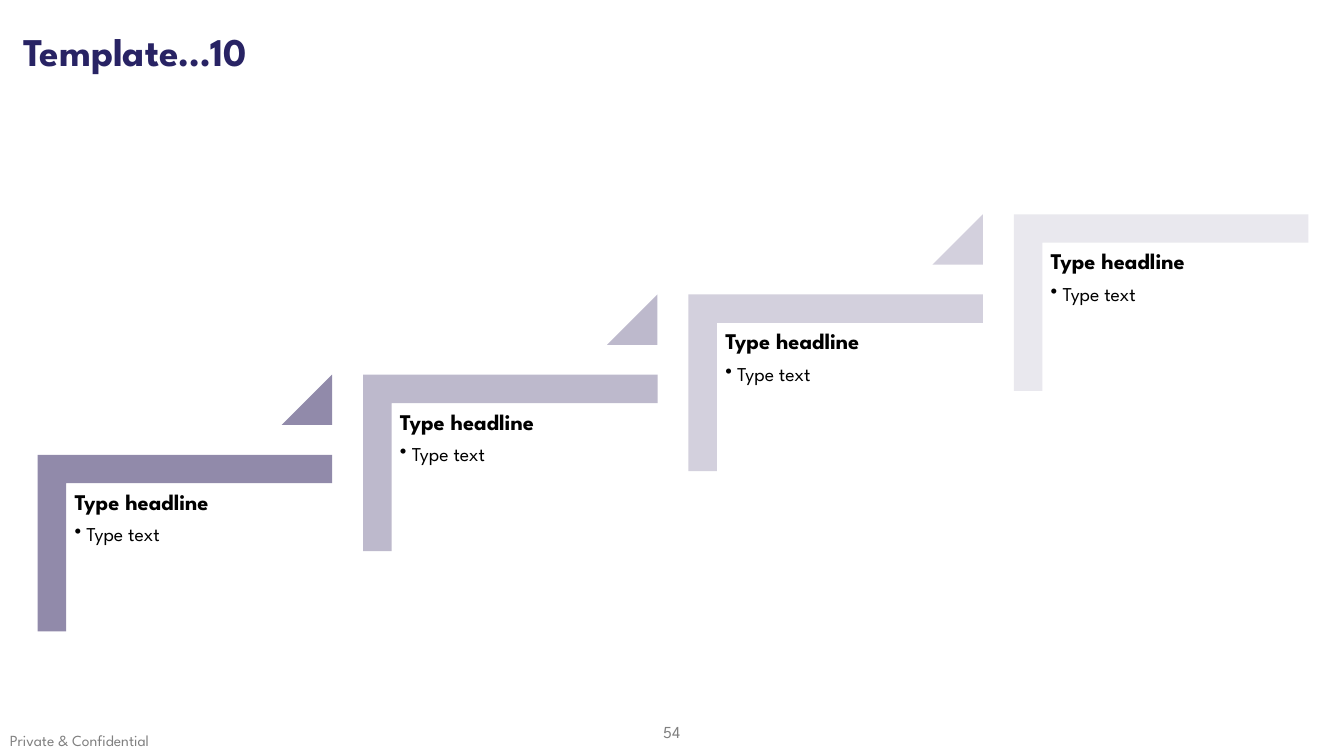
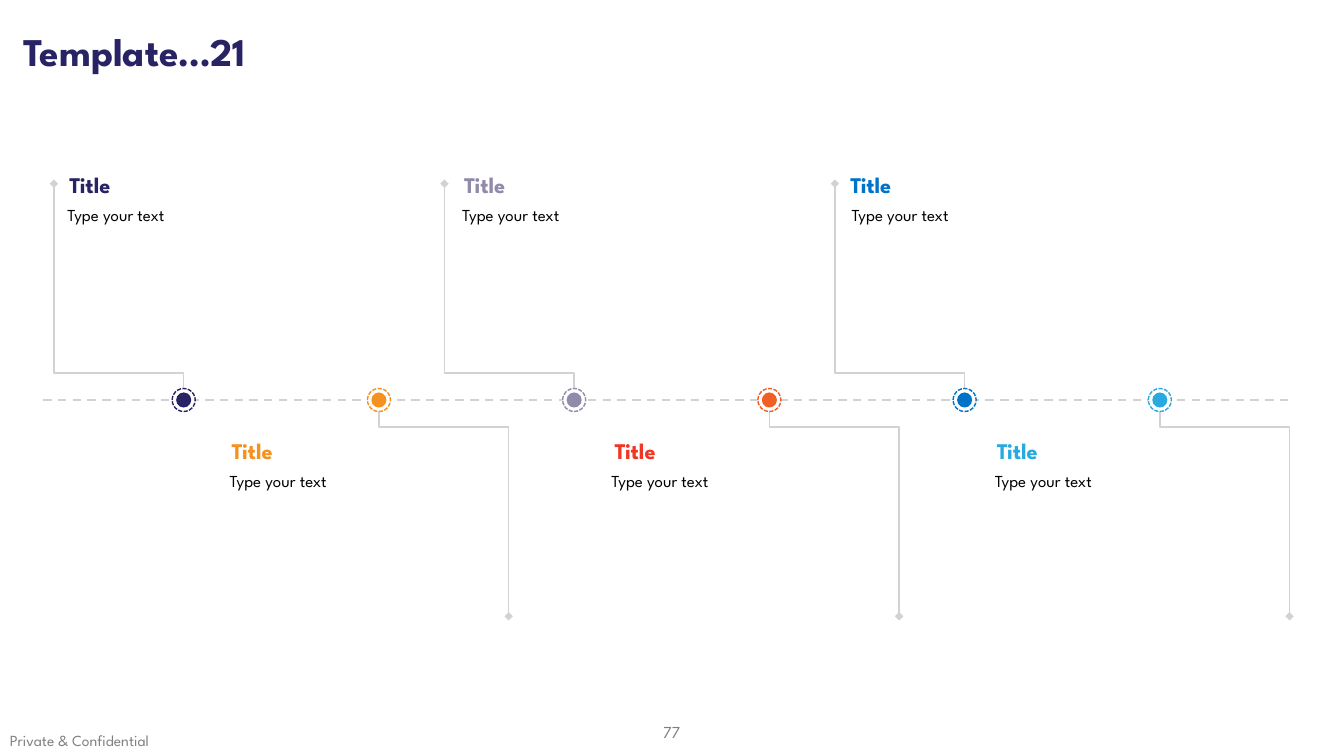
from collections import namedtuple

from lxml import etree
from pptx import Presentation
from pptx.dml.color import RGBColor
from pptx.enum.dml import MSO_LINE
from pptx.enum.shapes import MSO_CONNECTOR, MSO_SHAPE
from pptx.enum.text import MSO_ANCHOR, MSO_AUTO_SIZE, PP_ALIGN
from pptx.oxml.ns import qn
from pptx.util import Cm, Pt

DASH, SHORT_DASH = MSO_LINE.DASH, MSO_LINE.SQUARE_DOT
STRAIGHT, ELBOW = MSO_CONNECTOR.STRAIGHT, MSO_CONNECTOR.ELBOW
CORNER, TRIANGLE, OVAL = MSO_SHAPE.CORNER, MSO_SHAPE.ISOSCELES_TRIANGLE, MSO_SHAPE.OVAL
MIDDLE, NO_AUTOFIT = MSO_ANCHOR.MIDDLE, MSO_AUTO_SIZE.NONE
LEFT, CENTER = PP_ALIGN.LEFT, PP_ALIGN.CENTER

FONT = "League Spartan"
WHITE = RGBColor(0xFF, 0xFF, 0xFF)
BLACK = RGBColor(0x00, 0x00, 0x00)
FOOTER_GRAY = RGBColor(0x80, 0x80, 0x80)
LINE_GRAY = RGBColor(0xD2, 0xD2, 0xD2)
NAVY = RGBColor(0x28, 0x23, 0x64)
MAUVE = RGBColor(0x91, 0x8A, 0xAA)
MAUVE_MID = RGBColor(0xBD, 0xB9, 0xCC)
MAUVE_LIGHT = RGBColor(0xD3, 0xD0, 0xDD)
MAUVE_PALE = RGBColor(0xE9, 0xE8, 0xEE)
AMBER = RGBColor(0xF5, 0x91, 0x1E)
ORANGE = RGBColor(0xF0, 0x5F, 0x23)
RED = RGBColor(0xF0, 0x37, 0x23)
BLUE = RGBColor(0x00, 0x73, 0xC8)
SKY = RGBColor(0x28, 0xAA, 0xE1)

Box = namedtuple("Box", "left top width height")
Milestone = namedtuple("Milestone", "accent title_color title_left body_left")

SLIDE_WIDTH, SLIDE_HEIGHT = 33.87, 19.05
TITLE_BOX = Box(0, 0.03, SLIDE_WIDTH, 2.67)
NUMBER_BOX = Box(16.18, 17.93, 1.5, 1.02)
FOOTER_BOX = Box(0, 18.31, 8.43, 0.74)
STAIRCASE_BOX = Box(0.95, 5.4, 32.02, 10.51)
TIMELINE_BOX = Box(1.09, 4.19, 31.42, 11.34)

STEP_COLORS = [MAUVE, MAUVE_MID, MAUVE_LIGHT, MAUVE_PALE]
MILESTONES = [
    Milestone(NAVY, NAVY, 0.41, 0.36),
    Milestone(AMBER, AMBER, 4.5, 4.45),
    Milestone(MAUVE, MAUVE, 10.36, 10.31),
    Milestone(ORANGE, RED, 14.15, 14.07),
    Milestone(BLUE, BLUE, 20.09, 20.12),
    Milestone(SKY, SKY, 23.78, 23.73),
]


def in_cm(box):
    return [Cm(length) for length in box]


def format_paragraph(paragraph, size, color, bold=False):
    for run in paragraph.runs:
        run.font.name = FONT
        run.font.size = Pt(size)
        run.font.bold = bold
        run.font.color.rgb = color


def add_text(slide, box, text, size, color, bold=False):
    shape = slide.shapes.add_textbox(*in_cm(box))
    shape.text_frame.word_wrap = True
    shape.text_frame.text = text
    format_paragraph(shape.text_frame.paragraphs[0], size, color, bold)
    return shape


def add_shape(slide, kind, box, fill):
    shape = slide.shapes.add_shape(kind, *in_cm(box))
    shape.shadow.inherit = False
    shape.fill.solid()
    shape.fill.fore_color.rgb = fill
    shape.line.fill.background()
    return shape


def add_line(slide, kind, start, end, width):
    connector = slide.shapes.add_connector(kind, *in_cm(start + end))
    connector.line.color.rgb = LINE_GRAY
    connector.line.width = Pt(width)
    etree.SubElement(connector._element.spPr, qn("a:effectLst"))
    return connector


def add_slide(presentation, title, number):
    slide = presentation.slides.add_slide(presentation.slide_layouts[5])
    shape = slide.shapes.title
    shape.left, shape.top, shape.width, shape.height = in_cm(TITLE_BOX)
    frame = shape.text_frame
    frame.text = title
    frame.auto_size = NO_AUTOFIT
    frame.vertical_anchor = MIDDLE
    paragraph = frame.paragraphs[0]
    paragraph.alignment = LEFT
    paragraph.line_spacing = 0.9
    paragraph._p.get_or_add_pPr().set("marL", str(Cm(0.33)))
    format_paragraph(paragraph, 28, NAVY, True)

    page_number = add_text(slide, NUMBER_BOX, number, 12, FOOTER_GRAY)
    page_number.text_frame.vertical_anchor = MIDDLE
    page_number.text_frame.paragraphs[0].alignment = CENTER
    add_text(slide, FOOTER_BOX, "Private & Confidential", 11, FOOTER_GRAY)
    return slide


def add_step(slide, box, color):
    inset = (box.width - box.height) / 2
    corner_box = Box(box.left + inset, box.top - inset, box.height, box.width)
    corner = add_shape(slide, CORNER, corner_box, color)
    corner.rotation = 90
    corner.adjustments[0] = corner.adjustments[1] = 0.161

    text_box = Box(box.left + 0.75, box.top + 0.73, 6.68, 5.87)
    frame = add_text(slide, text_box, "Type headline", 16, BLACK, True).text_frame
    frame.margin_left = frame.margin_right = Cm(0.18)
    frame.margin_top = frame.margin_bottom = Cm(0.18)
    headline = frame.paragraphs[0]
    headline.line_spacing = 0.9
    headline.space_after = Pt(7)

    item = frame.add_paragraph()
    item.text = "Type text"
    item.level = 1
    properties = item._p.get_or_add_pPr()
    properties.set("marL", str(Cm(0.3)))
    properties.set("indent", str(-Cm(0.3)))
    etree.SubElement(properties, qn("a:buChar"), char="•")
    item.line_spacing = 0.9
    item.space_after = Pt(2.5)
    format_paragraph(item, 14, BLACK)


def add_staircase(slide, box):
    step_width, step_height, triangle_size = 7.42, 4.45, 1.27
    gaps = len(STEP_COLORS) - 1
    run = (box.width - step_width) / gaps
    rise = (box.height - step_height) / gaps
    for index, color in enumerate(STEP_COLORS):
        left = box.left + index * run
        top = box.top + (gaps - index) * rise
        add_step(slide, Box(left, top, step_width, step_height), color)
        if index < gaps:
            triangle_left = left + step_width - triangle_size
            triangle_box = Box(triangle_left, top - rise, triangle_size, triangle_size)
            add_shape(slide, TRIANGLE, triangle_box, color).adjustments[0] = 1


def add_stem(slide, center, axis, upward):
    length, reach, gap = 5.38, 3.27, 0.07
    direction = -1 if upward else 1
    middle_x = center + direction * reach / 2
    middle_y = axis + direction * (gap + length / 2)
    start = (middle_x + direction * length / 2, middle_y - direction * reach / 2)
    end = (middle_x - direction * length / 2, middle_y + direction * reach / 2)
    stem = add_line(slide, ELBOW, start, end, 1)
    properties = stem._element.spPr
    properties.find(qn("a:xfrm")).set("rot", "16200000")
    guides = properties.find(qn("a:prstGeom")).find(qn("a:avLst"))
    etree.SubElement(guides, qn("a:gd"), name="adj1", fmla="val 11300")
    for tag in ("a:headEnd", "a:tailEnd"):
        etree.SubElement(properties.find(qn("a:ln")), qn(tag), type="diamond")


def add_dot(slide, center, axis, color):
    ring_size, core_size = 0.58, 0.38
    for size, fill in ((ring_size, WHITE), (core_size, color)):
        dot_box = Box(center - size / 2, axis - size / 2, size, size)
        dot = add_shape(slide, OVAL, dot_box, fill)
        if size == ring_size:
            dot.line.color.rgb = color
            dot.line.width = Pt(1)
            dot.line.dash_style = SHORT_DASH


def add_label(slide, box, milestone, upward):
    top = box.top if upward else box.top + 6.71
    width = 8.94 if upward else 7.06
    body_top = top + (0.85 if upward else 0.83)
    title_box = Box(box.left + milestone.title_left, top, width, 0.94)
    body_box = Box(box.left + milestone.body_left, body_top, width, 0.76)
    add_text(slide, title_box, "Title", 16, milestone.title_color, True)
    add_text(slide, body_box, "Type your text", 12, BLACK)


def add_timeline(slide, box):
    axis = box.top + 5.89
    centers = [box.left + 3.54 + 4.92 * index for index in range(len(MILESTONES))]
    for index, center in enumerate(centers):
        add_stem(slide, center, axis, index % 2 == 0)
    axis_line = add_line(slide, STRAIGHT, (box.left, axis), (box.left + box.width, axis), 1.5)
    axis_line.line.dash_style = DASH
    for index, (center, milestone) in enumerate(zip(centers, MILESTONES)):
        add_dot(slide, center, axis, milestone.accent)
        add_label(slide, box, milestone, index % 2 == 0)


def main():
    presentation = Presentation()
    presentation.slide_width = Cm(SLIDE_WIDTH)
    presentation.slide_height = Cm(SLIDE_HEIGHT)
    add_staircase(add_slide(presentation, "Template…10", "54"), STAIRCASE_BOX)
    add_timeline(add_slide(presentation, "Template…21", "77"), TIMELINE_BOX)
    presentation.save("out.pptx")


if __name__ == "__main__":
    main()
